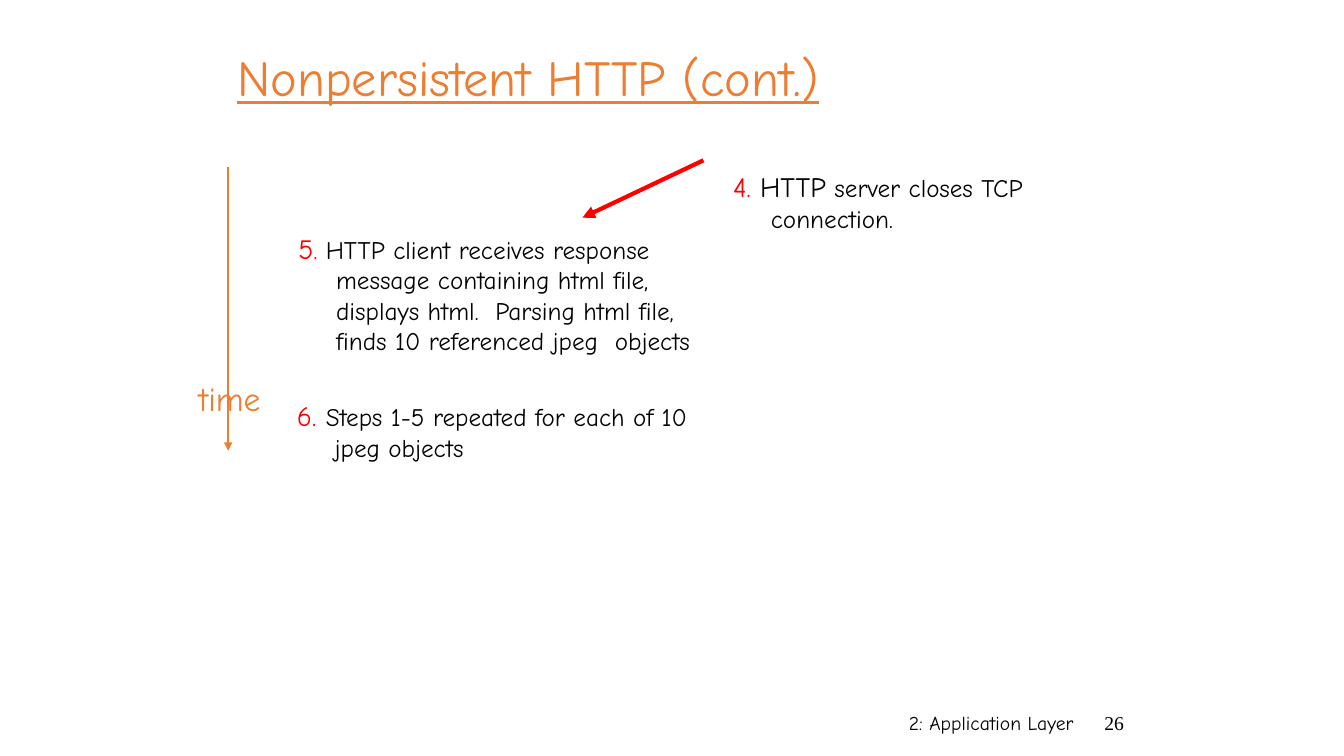
from lxml.etree import SubElement
from pptx import Presentation
from pptx.dml.color import RGBColor
from pptx.enum.shapes import MSO_CONNECTOR
from pptx.enum.text import MSO_ANCHOR, PP_ALIGN
from pptx.oxml.ns import qn
from pptx.util import Pt

ORANGE = RGBColor(0xED, 0x7D, 0x31)
RED = RGBColor(0xFF, 0x00, 0x00)
BLACK = RGBColor(0x00, 0x00, 0x00)


def add_run(paragraph, text, font="Comic Neue", size=18, color=BLACK, underline=None):
    run = paragraph.add_run()
    run.text = text
    run.font.name = font
    run.font.size = Pt(size)
    run.font.color.rgb = color
    run.font.underline = underline


class SlideBuilder:
    hanging_indent = 27

    def __init__(self, slide):
        self.slide = slide

    def text(self, left, top, width, height, *runs, align=PP_ALIGN.LEFT,
             anchor=MSO_ANCHOR.TOP, hanging=False):
        """Add a one-paragraph box; each run is a (text, format) pair."""
        box = self.slide.shapes.add_textbox(Pt(left), Pt(top), Pt(width), Pt(height))
        frame = box.text_frame
        frame.word_wrap = True
        frame.vertical_anchor = anchor
        paragraph = frame.paragraphs[0]
        paragraph.alignment = align
        if hanging:
            properties = paragraph._p.get_or_add_pPr()
            properties.set("marL", str(Pt(self.hanging_indent)))
            properties.set("indent", str(-Pt(self.hanging_indent)))
        for content, style in runs:
            add_run(paragraph, content, **style)

    def step(self, left, top, height, *runs):
        self.text(left, top, 300, height, *runs, hanging=True)

    def arrow(self, start, end, color, width):
        line = self.slide.shapes.add_connector(
            MSO_CONNECTOR.STRAIGHT, *map(Pt, start + end))
        line.line.color.rgb = color
        line.line.width = Pt(width)
        SubElement(line.line._get_or_add_ln(), qn("a:tailEnd"), type="triangle")
        SubElement(line._element.spPr, qn("a:effectLst"))


def main():
    presentation = Presentation()
    presentation.slide_width = Pt(960)
    presentation.slide_height = Pt(540)
    builder = SlideBuilder(presentation.slides.add_slide(presentation.slide_layouts[6]))
    number = {"size": 20, "color": RED}

    # Footer
    builder.text(546, 504, 228, 36, ("2: Application Layer", {"size": 14}),
                 align=PP_ALIGN.RIGHT)
    builder.text(774, 504, 36, 36, ("26", {"size": 14, "font": "Times New Roman"}),
                 align=PP_ALIGN.RIGHT)

    # Title
    builder.text(162.5, 20, 612, 68.5,
                 ("Nonpersistent HTTP (cont.)",
                  {"size": 36, "color": ORANGE, "underline": True}),
                 anchor=MSO_ANCHOR.MIDDLE)

    # Client steps
    builder.step(206, 161.5, 121,
                 ("5", number), (".", {"color": RED}),
                 (" HTTP client receives response message containing html file, "
                  "displays html.  Parsing html file, finds 10 referenced jpeg  objects", {}))
    builder.step(205, 281, 52.5,
                 ("6. ", number), ("Steps 1-5 repeated for each of 10 jpeg objects", {}))

    # Server step
    builder.step(516.5, 117.5, 57.5,
                 ("4.", number), (" HTTP", {"size": 20}),
                 (" server closes TCP connection.", {}))

    # Time axis
    builder.arrow((163, 119.5), (163, 322), ORANGE, 1.5)
    builder.text(132, 266.5, 64, 36, ("time", {"size": 24, "color": ORANGE}),
                 align=PP_ALIGN.CENTER)

    # Response from server to client
    builder.arrow((502.5, 114.5), (416, 155.5), RED, 3)

    presentation.save("out.pptx")


if __name__ == "__main__":
    main()
